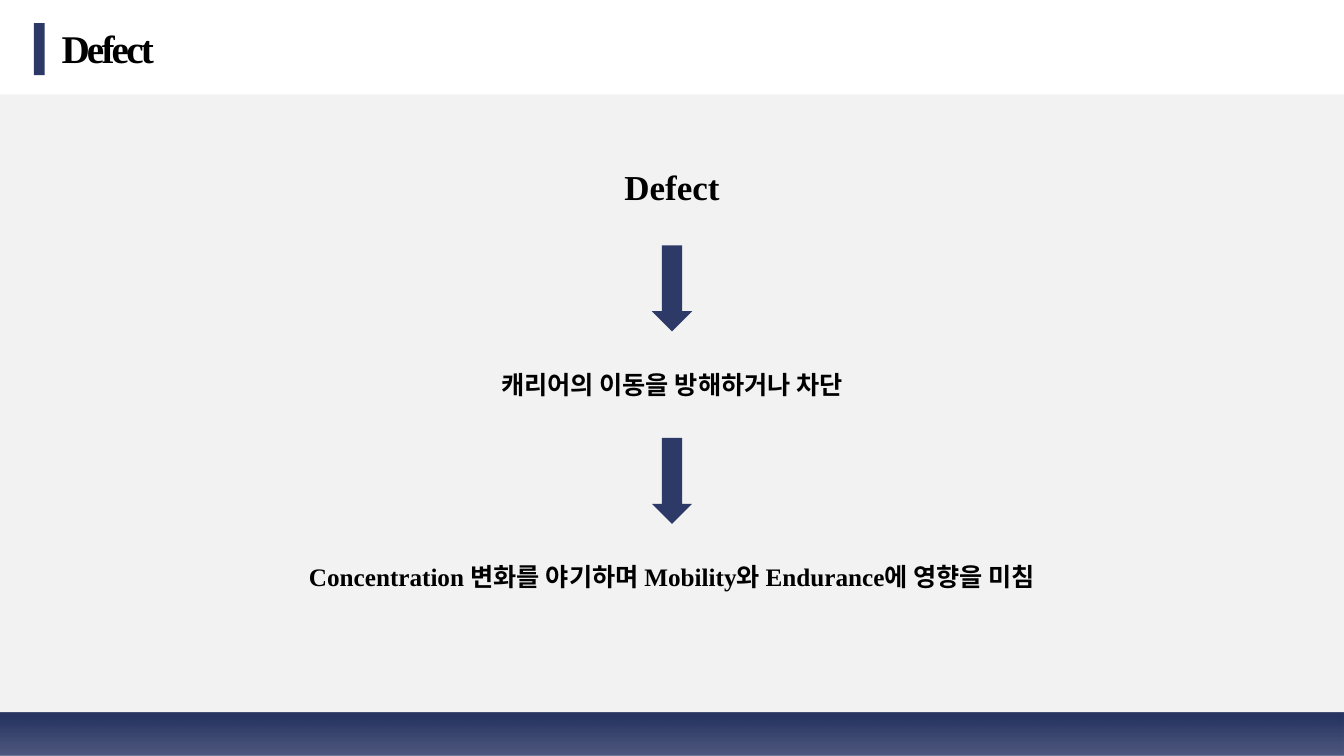
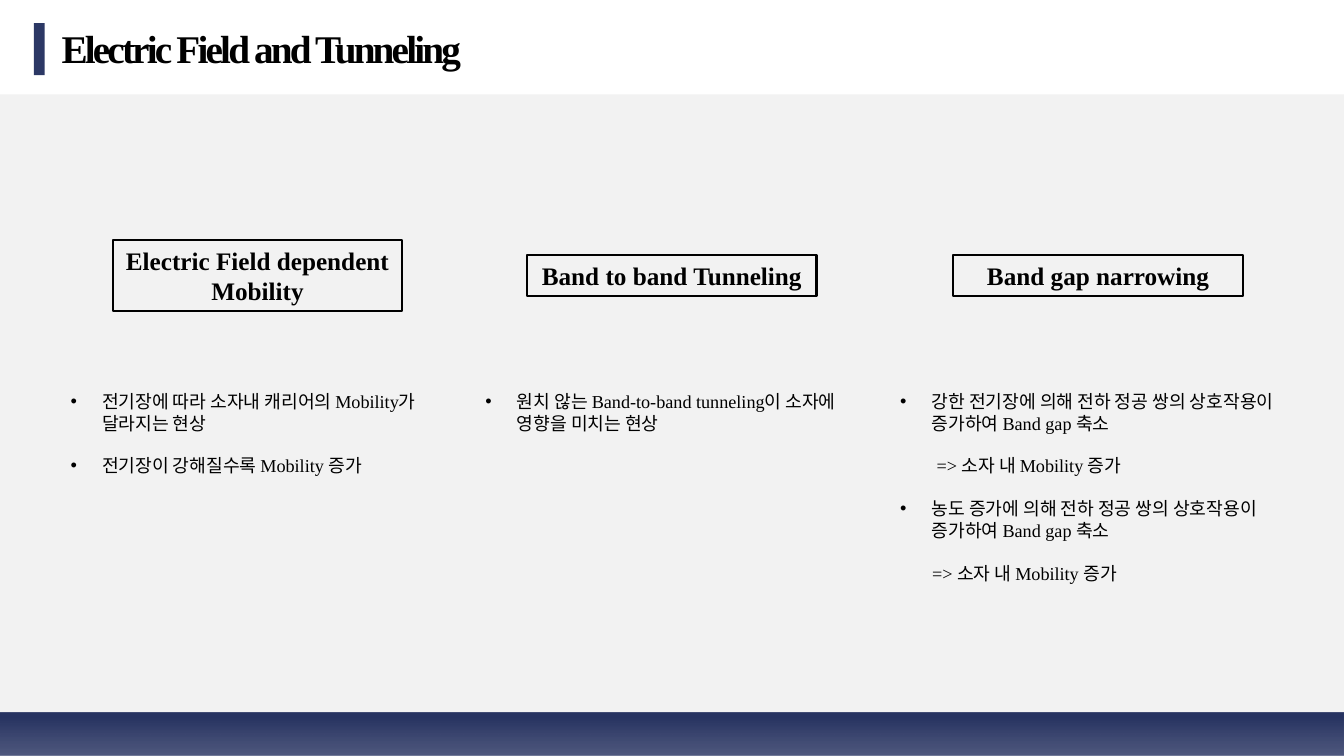
from dataclasses import dataclass

from lxml import etree
from pptx import Presentation
from pptx.dml import color
from pptx.enum import shapes, text
from pptx.oxml import ns
from pptx.util import Pt


@dataclass(frozen=True)
class Theme:
    """Colours, type sizes and font used throughout the deck."""
    font: str = "Times New Roman"
    ink: str = "000000"
    panel: str = "F2F2F2"
    bar: str = "2C3865"
    arrow: str = "2D3966"
    footer: str = "283462"
    title_size: float = 28
    lead_size: float = 25
    text_size: float = 18
    list_size: float = 13


THEME = Theme()
FOOTER_STOPS = ((10, 100), (51, 90), (100, 80))  # position and opacity, percent
INDENT = 22.5
PARAGRAPH_GAP = 15

EFFECTS = ["Concentration 변화를 야기하며 Mobility와 Endurance에 영향을 미침"]
CAUSES = ["캐리어의 이동을 방해하거나 차단"]

# Heading lines, heading left and height
HEADINGS = (
    (["Electric Field dependent", "Mobility"], 80.6, 51),
    (["Band to band Tunneling"], 376.5, 29),
    (["Band gap narrowing"], 681, 29),
)

# List width and height, then its lines: text and, for unbulleted lines, left indent
LISTS = (
    (281, 70.5, [("전기장에 따라 소자내 캐리어의 Mobility가 달라지는 현상", None),
                 ("전기장이 강해질수록 Mobility 증가", None)]),
    (281, 39, [("원치 않는 Band-to-band tunneling이 소자에 영향을 미치는 현상", None)]),
    (304.5, 149, [
        ("강한 전기장에 의해 전하 정공 쌍의 상호작용이 증가하여 Band gap 축소", None),
        ("=> 소자 내 Mobility 증가", 26),
        ("농도 증가에 의해 전하 정공 쌍의 상호작용이 증가하여 Band gap 축소", None),
        ("=> 소자 내 Mobility 증가", 22.75)]),
)


def apply(target, values):
    """Set each attribute named in a dict of format values."""
    for name, value in values.items():
        setattr(target, name, value)


def place(box, left, top, width, height):
    """Move and size a shape, in points."""
    apply(box, {"left": Pt(left), "top": Pt(top),
                "width": Pt(width), "height": Pt(height)})


def write(box, lines, size, bold=True, align=text.PP_ALIGN.CENTER,
          anchor=text.MSO_ANCHOR.TOP, wrap=True):
    """Fill a shape with one formatted paragraph per line; return the paragraphs."""
    frame = box.text_frame
    frame.text = "\n".join(lines)
    apply(frame, {"word_wrap": wrap, "vertical_anchor": anchor,
                  "auto_size": text.MSO_AUTO_SIZE.NONE})
    for para in frame.paragraphs:
        apply(para, {"alignment": align, "space_before": Pt(0)})
        for span in para.runs:
            apply(span.font, {"name": THEME.font, "size": Pt(size), "bold": bold})
            span.font.color.rgb = color.RGBColor.from_string(THEME.ink)
    return frame.paragraphs


def add_block(page, kind, bounds, fill=None):
    """Add a flat preset shape without line or shadow."""
    block = page.shapes.add_shape(kind, *map(Pt, bounds))
    block.shadow.inherit = False
    block.line.fill.background()
    if fill:
        block.fill.solid()
        block.fill.fore_color.rgb = color.RGBColor.from_string(fill)
    else:
        block.fill.background()
    return block


def fade(block):
    """Give the footer band its downward fade."""
    block.fill.gradient()
    block.fill.gradient_angle = 270
    stops = block.element.spPr.find(".//" + ns.qn("a:gsLst"))
    for old in list(stops):
        stops.remove(old)
    for position, opacity in FOOTER_STOPS:
        stop = etree.SubElement(stops, ns.qn("a:gs"), pos=str(position * 1000))
        tint = etree.SubElement(stop, ns.qn("a:srgbClr"), val=THEME.footer)
        etree.SubElement(tint, ns.qn("a:alpha"), val=str(opacity * 1000))


def build_master(deck, page):
    """Draw the panel, footer and title bar, and move them to the slide master."""
    rectangle = shapes.MSO_SHAPE.RECTANGLE
    panel = add_block(page, rectangle, (0, 67.5, 960, 472), THEME.panel)
    footer = add_block(page, rectangle, (0, 508.75, 960, 31.25))
    fade(footer)
    bar = add_block(page, rectangle, (24.25, 16.5, 7.75, 37.25), THEME.bar)
    tree = deck.slide_master.element.cSld.spTree
    for order, block in enumerate((panel, footer, bar)):
        block.element.nvSpPr.cNvPr.set("id", str(101 + order))
        tree.insert(2 + order, block.element)


def add_page(deck, layout_name, title):
    """Add a page with the deck's title style."""
    page = deck.slides.add_slide(deck.slide_layouts.get_by_name(layout_name))
    box = page.shapes.title
    place(box, 36.75, 13.75, 816.5, 41)
    para, = write(box, [title], THEME.title_size, align=text.PP_ALIGN.LEFT,
                  anchor=text.MSO_ANCHOR.MIDDLE)
    for span in para.runs:
        span.font._element.set("spc", "-200")
    return page


def add_label(page, lines, size, top, width, height, wrap=False):
    """Add bold text centred on the page."""
    box = page.shapes.add_textbox(Pt(480 - width / 2), Pt(top), Pt(width), Pt(height))
    write(box, lines, size, wrap=wrap)


def add_heading(page, lines, left, height):
    """Add an outlined heading, centred on the common heading line."""
    box = add_block(page, shapes.MSO_SHAPE.RECTANGLE,
                    (left, 196.75 - height / 2, 206.75, height))
    box.line.width = Pt(1.5)
    box.line.color.rgb = color.RGBColor.from_string(THEME.ink)
    write(box, lines, THEME.text_size, anchor=text.MSO_ANCHOR.MIDDLE)


def fill_list(box, lines):
    """Write bulleted and plain indented lines into a body placeholder."""
    paras = write(box, [line for line, _ in lines], THEME.list_size,
                  bold=False, align=text.PP_ALIGN.LEFT)
    for order, (para, (_, indent)) in enumerate(zip(paras, lines)):
        para.space_before = Pt(PARAGRAPH_GAP if order else 0)
        props = para._p.get_or_add_pPr()
        bulleted = indent is None
        props.set("marL", str(Pt(INDENT if bulleted else indent)))
        props.set("indent", str(Pt(-INDENT if bulleted else 0)))
        if bulleted:
            etree.SubElement(props, ns.qn("a:buFont"), typeface="Arial")
            etree.SubElement(props, ns.qn("a:buChar"), char="•")
        else:
            etree.SubElement(props, ns.qn("a:buNone"))


def fill_defect(page):
    """Build the chain from defect to its effects."""
    step = 137.5
    add_label(page, ["Defect"], THEME.lead_size, 114.5, 83.5, 37.5)
    add_label(page, CAUSES, THEME.text_size, 260, 283, 29)
    add_label(page, EFFECTS, THEME.text_size, 260 + step, 558, 29, wrap=True)
    for order in range(2):
        add_block(page, shapes.MSO_SHAPE.DOWN_ARROW,
                  (465.6, 175.25 + order * step, 28.8, 61.5), THEME.arrow)


def fill_tunneling(page):
    """Build three headed columns of lists."""
    for heading in HEADINGS:
        add_heading(page, *heading)
    bodies = list(page.placeholders)[1:]
    for column, (box, (width, height, lines)) in enumerate(zip(bodies, LISTS)):
        place(box, 43.2 + column * 296.3, 275, width, height)
        fill_list(box, lines)
    for spare in bodies[len(LISTS):]:
        spare.element.getparent().remove(spare.element)


def main():
    """Build and save the deck."""
    deck = Presentation()
    apply(deck, {"slide_width": Pt(960), "slide_height": Pt(540)})
    defect = add_page(deck, "Title Only", "Defect")
    build_master(deck, defect)
    fill_defect(defect)
    fill_tunneling(add_page(deck, "Comparison", "Electric Field and Tunneling"))
    deck.save("out.pptx")


main()
